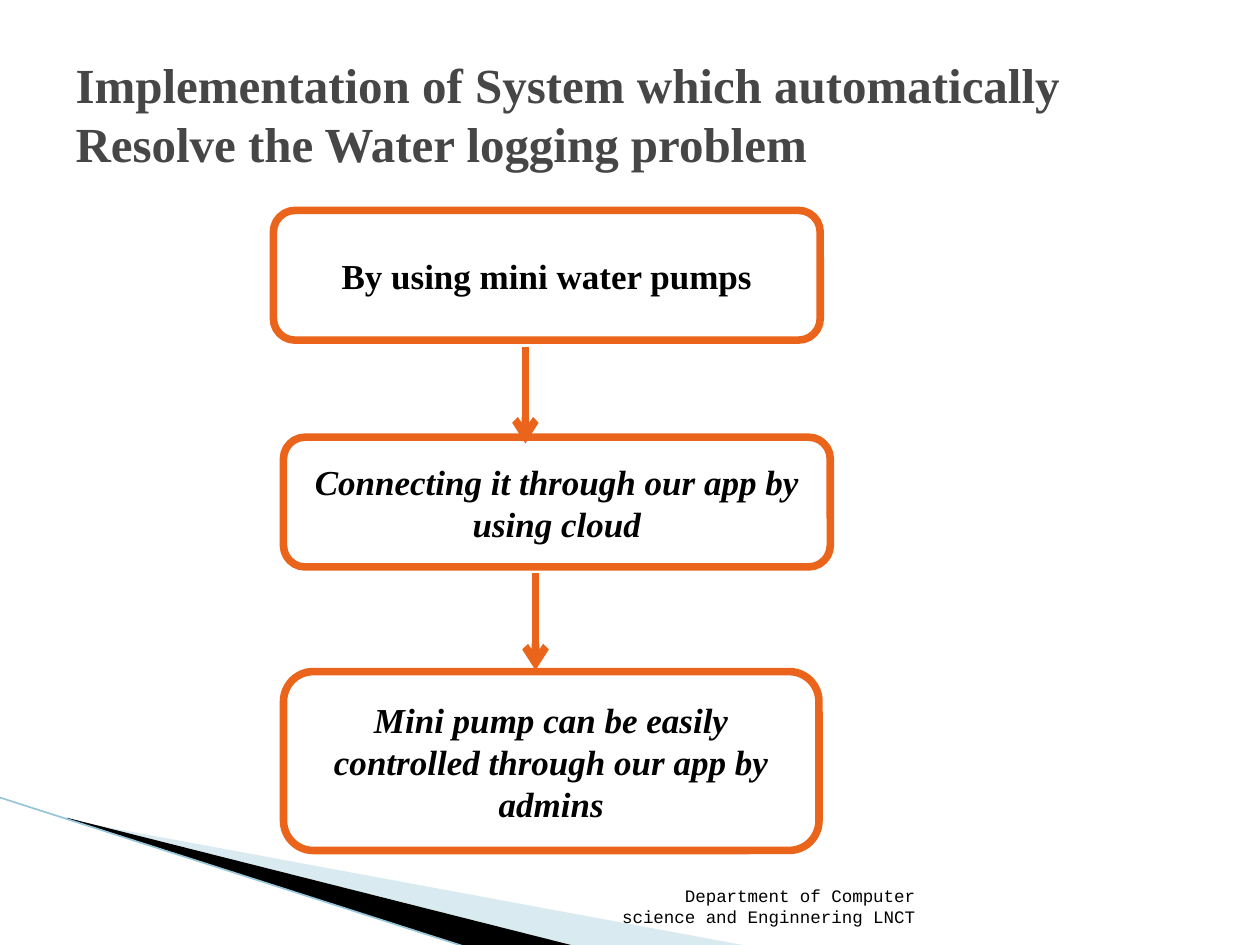
from lxml.etree import SubElement
from pptx import Presentation
from pptx.dml.color import RGBColor
from pptx.enum.shapes import MSO_CONNECTOR as CONN, MSO_SHAPE as SHAPE
from pptx.enum.text import MSO_ANCHOR as ANCHOR, PP_ALIGN as ALIGN
from pptx.oxml.ns import qn
from pptx.util import Inches, Pt

WHITE = RGBColor(0xFF, 0xFF, 0xFF)
BLACK = RGBColor(0x00, 0x00, 0x00)
GREY = RGBColor(0x46, 0x46, 0x46)
ORANGE = RGBColor(0xEB, 0x64, 0x1B)
PALE_BLUE = RGBColor(0xA0, 0xCB, 0xDC)
LINE_BLUE = RGBColor(0x97, 0xC5, 0xD8)
SERIF, MONO = "Times New Roman", "Courier New"
WEDGES = [
    ([(0.55, 0.18), (5.95, 1.18), (4.56, 1.18), (0.55, 0.17)], PALE_BLUE, 40),
    ([(0.53, 0.16), (4.57, 1.18), (3.72, 1.19), (0.54, 0.17)], BLACK, 100),
]
STEPS = [
    ("By using mini water pumps", 0, 0, 4.34, 1.03, False),
    ("Connecting it through our app by using cloud", 0.08, 1.8, 4.34, 1.03, True),
    ("Mini pump can be easily controlled through our app by admins", 0.08, 3.66, 4.25, 1.42, True),
]


def write(sp, text, font, size, color, align, anchor, bold=False, italic=False):
    """Set the text of a shape and format it."""
    tf = sp.text_frame
    tf.word_wrap = True
    tf.vertical_anchor = anchor
    tf.text = text
    p = tf.paragraphs[0]
    p.alignment = align
    f = p.runs[0].font
    f.name, f.size, f.bold, f.italic = font, Pt(size), bold, italic
    f.color.rgb = color


def add_line(slide, start, end, color, width, arrow=False):
    """Draw a straight line, optionally with an arrowhead at its end."""
    cx = slide.shapes.add_connector(CONN.STRAIGHT, *map(Inches, start + end))
    cx.line.color.rgb = color
    cx.line.width = Pt(width)
    if arrow:
        SubElement(cx.line._get_or_add_ln(), qn("a:tailEnd"), type="arrow")
    SubElement(cx._element.spPr, qn("a:effectLst"))


def add_corner(slide, left, top, width, height):
    """Draw the wedges and the thin line in the bottom left corner."""
    for points, color, opacity in WEDGES:
        pts = [(Inches(left + x), Inches(top + y)) for x, y in points]
        fb = slide.shapes.build_freeform(*pts[0])
        fb.add_line_segments(pts[1:])
        sp = fb.convert_to_shape()
        sp.shadow.inherit = False
        sp.fill.solid()
        sp.fill.fore_color.rgb = color
        sp.line.fill.background()
        if opacity < 100:
            clr = sp._element.spPr.find(f".//{qn('a:srgbClr')}")
            SubElement(clr, qn("a:alpha"), val=str(opacity * 1000))
    add_line(slide, (left, top), (left + width, top + height), LINE_BLUE, 0.95)


def add_title(slide, left, top, width, height):
    """Place and format the title placeholder."""
    sp = slide.shapes.title
    sp.left, sp.top, sp.width, sp.height = map(Inches, (left, top, width, height))
    write(sp, "Implementation of System which automatically Resolve the Water logging problem",
          SERIF, 28, GREY, ALIGN.LEFT, ANCHOR.MIDDLE, bold=True)


def add_flow(slide, left, top):
    """Draw the steps from top to bottom with an arrow after each but the last."""
    for text, dx, dy, w, h, italic in STEPS:
        x, y = left + dx, top + dy
        sp = slide.shapes.add_shape(SHAPE.ROUNDED_RECTANGLE, *map(Inches, (x, y, w, h)))
        sp.shadow.inherit = False
        sp.fill.solid()
        sp.fill.fore_color.rgb = WHITE
        sp.line.color.rgb = ORANGE
        sp.line.width = Pt(4.33)
        write(sp, text, SERIF, 20, BLACK, ALIGN.CENTER, ANCHOR.MIDDLE, True, italic)
    for _, dx, dy, _, h, _ in STEPS[:-1]:
        x, y = left + dx + 2, top + dy + h + 0.05
        add_line(slide, (x, y), (x, y + 0.77), ORANGE, 4.33, arrow=True)


def add_footer(slide, left, top, width, height):
    """Write the department name at the bottom."""
    sp = slide.shapes.add_textbox(*map(Inches, (left, top, width, height)))
    write(sp, "Department of Computer science and Enginnering LNCT",
          MONO, 10, BLACK, ALIGN.RIGHT, ANCHOR.BOTTOM)


def main():
    """Build the slide and save it."""
    prs = Presentation()
    prs.slide_width, prs.slide_height = Inches(10), Inches(7.5)
    slide = prs.slides.add_slide(prs.slide_layouts[5])
    add_corner(slide, 0, 6.33, 3.71, 1.19)
    add_title(slide, 0.5, 0.3, 9, 1.2)
    add_flow(slide, 2.17, 1.67)
    add_footer(slide, 4.79, 7.01, 2.57, 0.4)
    prs.save("out.pptx")


if __name__ == "__main__":
    main()
